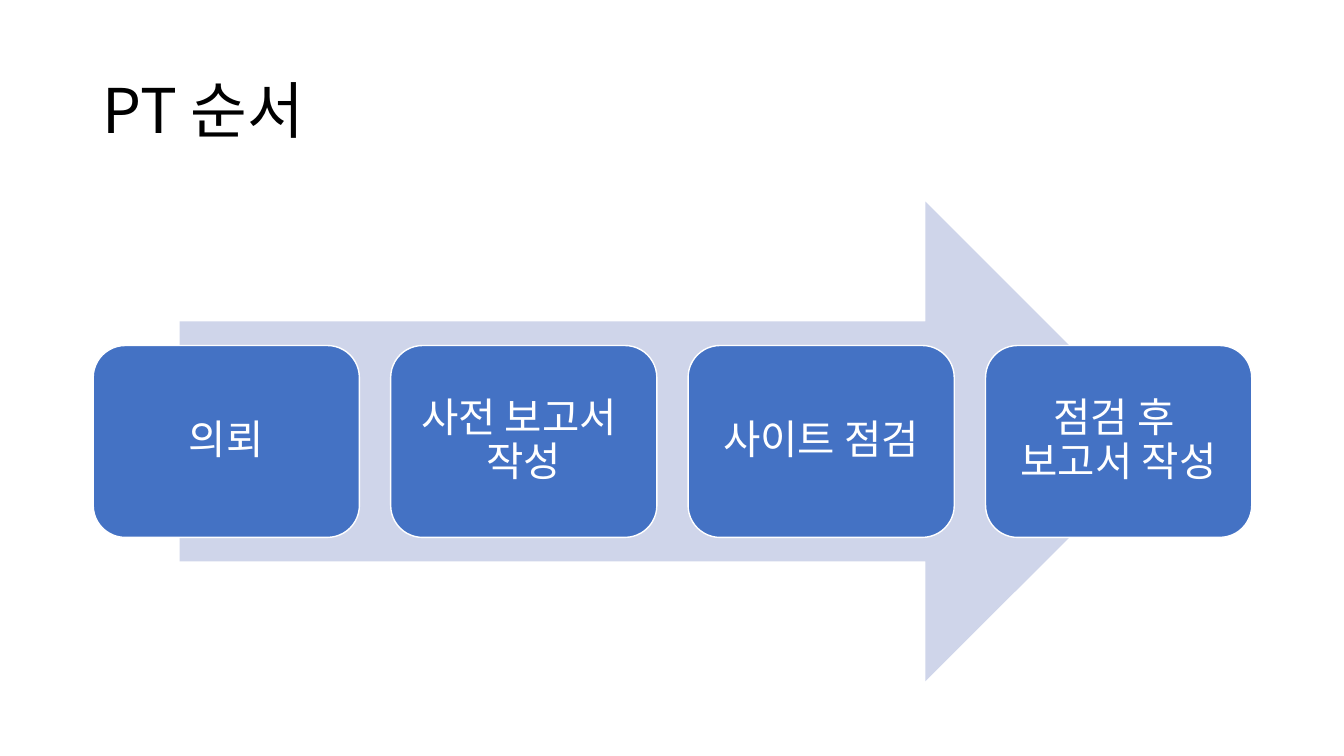
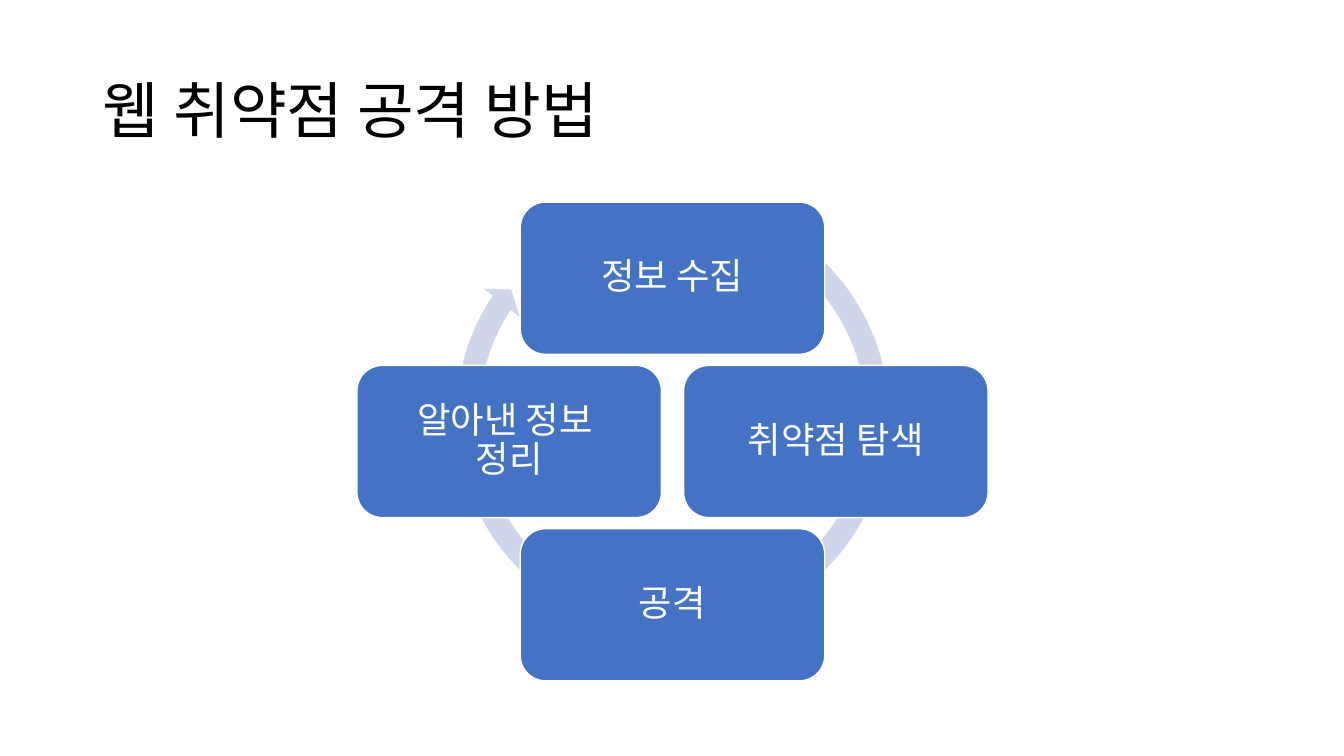
from dataclasses import dataclass

from lxml.etree import SubElement
from pptx import Presentation
from pptx.dml.color import RGBColor
from pptx.enum.shapes import MSO_SHAPE as Shape
from pptx.enum.text import MSO_ANCHOR as Anchor, MSO_AUTO_SIZE as AutoSize, PP_ALIGN as Align
from pptx.oxml.ns import qn
from pptx.util import Inches, Pt

# Shared style
COLORS = {"title": "000000", "box": "4472C4", "arrow": "CFD5EA", "white": "FFFFFF"}
FONT = "Noto Sans CJK KR"
SLIDE_W, SLIDE_H = 13.33, 7.5

# Content area that both diagrams fill
LEFT, TOP, WIDTH, HEIGHT = 0.92, 2.0, 11.5, 4.76
MID_X, MID_Y = LEFT + WIDTH / 2, TOP + HEIGHT / 2


@dataclass(frozen=True)
class BoxStyle:
    width: float
    height: float
    pitch: float  # distance between neighbouring box centres
    inset: float
    size: int


@dataclass(frozen=True)
class Step:
    text: str
    col: float  # grid offset from the middle of the content area
    row: float


PROCESS = BoxStyle(width=2.64, height=0.4 * HEIGHT, pitch=2.95, inset=0.12, size=29)
CYCLE = BoxStyle(width=3.02, height=1.51, pitch=1.62, inset=0.11, size=26)

PROCESS_TEXTS = ["의뢰", "사전 보고서 \n작성", "사이트 점검", "점검 후 \n보고서 작성"]
PROCESS_STEPS = [Step(text, i - (len(PROCESS_TEXTS) - 1) / 2, 0)
                 for i, text in enumerate(PROCESS_TEXTS)]
CYCLE_STEPS = [
    Step("정보 수집", 0, -1),
    Step("취약점 탐색", 1, 0),
    Step("공격", 0, 1),
    Step("알아낸 정보 \n정리", -1, 0),
]


def rgb(name: str) -> RGBColor:
    return RGBColor.from_string(COLORS[name])


def write(tf, text: str, size: int, color: str, align: Align) -> None:
    """Fill a text frame with one paragraph, run by run."""
    tf.word_wrap = True
    tf.auto_size = AutoSize.NONE
    tf.vertical_anchor = Anchor.MIDDLE
    p = tf.paragraphs[0]
    p.alignment = align
    p.line_spacing = 0.9
    for i, line in enumerate(text.split("\n")):
        if i:
            p.add_line_break()
        r = p.add_run()
        r.text = line
        r.font.size = Pt(size)
        r.font.name = FONT
        r.font.color.rgb = rgb(color)
        SubElement(r.font._element, qn("a:ea")).set("typeface", FONT)


def add_slide(prs, title: str):
    s = prs.slides.add_slide(prs.slide_layouts[5])
    sp = s.shapes.title
    sp.left, sp.top = Inches(LEFT), Inches(0.4)
    sp.width, sp.height = Inches(WIDTH), Inches(1.45)
    write(sp.text_frame, title, 44, "title", Align.LEFT)
    return s


def add_centred(s, kind: Shape, x: float, y: float, w: float, h: float, fill: str):
    """Add a plain filled shape around a centre point."""
    sp = s.shapes.add_shape(kind, Inches(x - w / 2), Inches(y - h / 2), Inches(w), Inches(h))
    sp.shadow.inherit = False
    sp.fill.solid()
    sp.fill.fore_color.rgb = rgb(fill)
    sp.line.fill.background()
    return sp


def add_steps(s, steps: list[Step], style: BoxStyle) -> None:
    for step in steps:
        sp = add_centred(s, Shape.ROUNDED_RECTANGLE,
                         MID_X + step.col * style.pitch, MID_Y + step.row * style.pitch,
                         style.width, style.height, "box")
        sp.line.color.rgb = rgb("white")
        sp.line.width = Pt(1)
        tf = sp.text_frame
        tf.margin_left = tf.margin_right = Inches(style.inset)
        tf.margin_top = tf.margin_bottom = Inches(style.inset)
        write(tf, step.text, style.size, "white", Align.CENTER)


def main() -> None:
    prs = Presentation()
    prs.slide_width, prs.slide_height = Inches(SLIDE_W), Inches(SLIDE_H)

    # Process: boxes in a row over a wide arrow
    s = add_slide(prs, "PT 순서")
    add_centred(s, Shape.RIGHT_ARROW, MID_X, MID_Y, 0.85 * WIDTH, HEIGHT, "arrow")
    add_steps(s, PROCESS_STEPS, PROCESS)

    # Cycle: boxes around a circular arrow
    s = add_slide(prs, "웹 취약점 공격 방법")
    ring = add_centred(s, Shape.CIRCULAR_ARROW, MID_X, MID_Y - 0.25, 4.52, 4.52, "arrow")
    # Band width, head angle, end angle, start angle, head width
    for i, value in enumerate((0.05, 2.73, 128.18, 180.4, 0.05)):
        ring.adjustments[i] = value
    add_steps(s, CYCLE_STEPS, CYCLE)

    prs.save("out.pptx")


if __name__ == "__main__":
    main()
